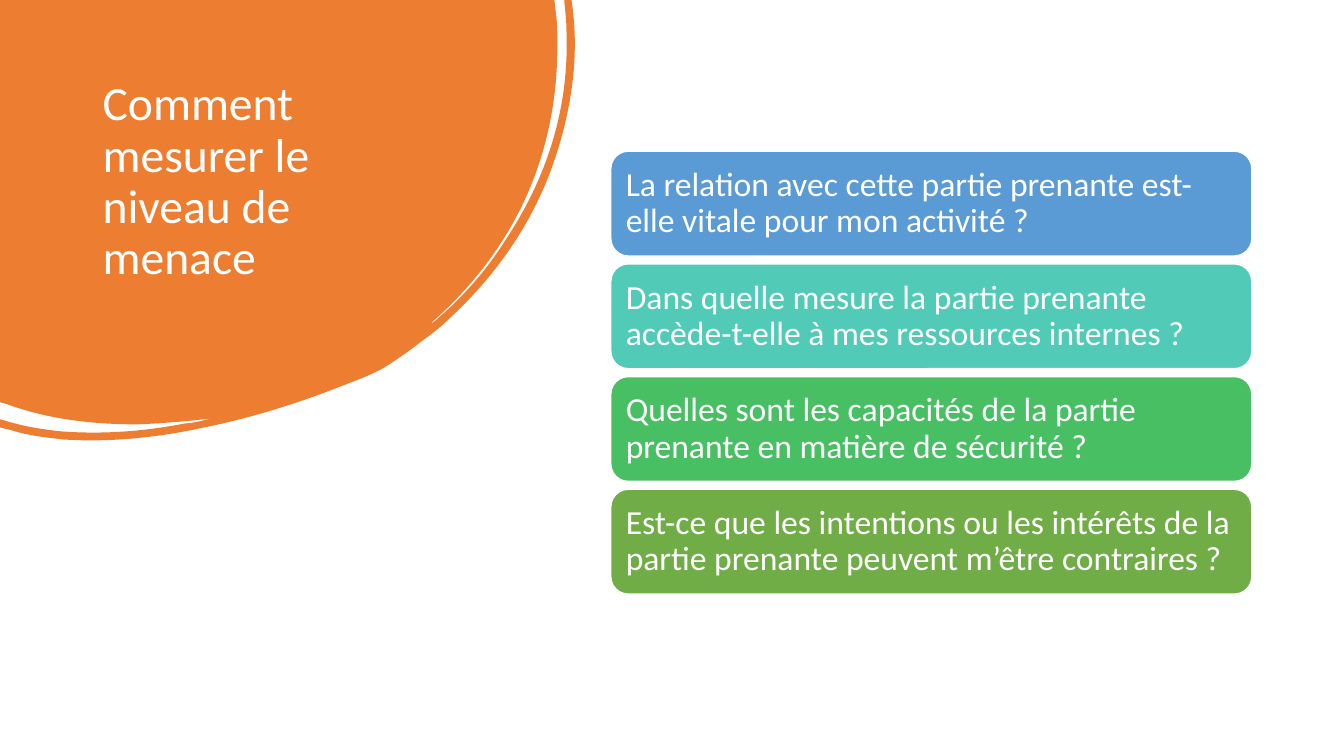
from lxml import etree
from pptx import Presentation
from pptx.dml.color import RGBColor
from pptx.enum.shapes import MSO_SHAPE
from pptx.enum.text import MSO_ANCHOR, PP_ALIGN
from pptx.oxml.ns import qn
from pptx.util import Pt

ROUNDED = MSO_SHAPE.ROUNDED_RECTANGLE
TOP, MIDDLE = MSO_ANCHOR.TOP, MSO_ANCHOR.MIDDLE
LEFT = PP_ALIGN.LEFT
WHITE, ORANGE = "FFFFFF", "ED7D31"
UNIT = 0.72

BLOB = [
    (0, 0), (550, 0), (552, 17),
    (553, 26, 553, 36, 553, 45), (553, 101, 542, 154, 518, 204),
    (496, 249, 465, 288, 427, 321), (429, 321, 430, 319, 432, 318),
    (459, 295, 482, 269, 501, 239), (543, 176, 565, 107, 562, 30),
    (562, 21, 561, 12, 560, 3), (560, 0), (567, 0), (568, 7),
    (574, 54, 568, 102, 553, 150), (533, 214, 497, 268, 448, 314),
    (439, 323, 429, 331, 419, 338), (409, 346, 399, 353, 387, 361),
    (375, 369, 360, 375, 344, 381), (299, 399, 252, 414, 203, 424),
    (157, 434, 110, 439, 63, 436), (45, 434, 28, 432, 12, 427),
    (0, 424), (0, 416), (4, 417),
    (23, 423, 42, 426, 61, 428), (103, 431, 143, 428, 184, 420),
    (189, 420, 193, 419, 198, 418), (202, 417, 206, 416, 210, 415),
    (186, 418, 161, 420, 136, 421), (92, 421, 48, 416, 7, 401),
    (0, 399),
]

QUESTIONS = [
    ("La relation avec cette partie prenante est-elle vitale pour mon activité ?", "5B9BD5"),
    ("Dans quelle mesure la partie prenante accède-t-elle à mes ressources internes ?", "52CAB8"),
    ("Quelles sont les capacités de la partie prenante en matière de sécurité ?", "49BF64"),
    ("Est-ce que les intentions ou les intérêts de la partie prenante peuvent m’être contraires ?", "70AD47"),
]


def rgb(color):
    return RGBColor.from_string(color)


def paint(sp, color):
    sp.shadow.inherit = False
    sp.fill.solid()
    sp.fill.fore_color.rgb = rgb(color)


def bend(sp, segments):
    lines = iter(list(sp._element.iter(qn("a:lnTo"))))
    for segment in segments:
        first, *others = [next(lines) for _ in range(len(segment) // 2)]
        if others:
            curve = etree.Element(qn("a:cubicBezTo"))
            first.addprevious(curve)
            for line in (first, *others):
                curve.append(line[0])
                line.getparent().remove(line)


def add_blob(slide, segments, color):
    points = [(Pt(x * UNIT), Pt(y * UNIT))
              for segment in segments
              for x, y in zip(segment[::2], segment[1::2])]
    builder = slide.shapes.build_freeform(*points[0])
    builder.add_line_segments(points[1:], close=True)
    sp = builder.convert_to_shape()
    bend(sp, segments[1:])
    paint(sp, color)
    sp.line.fill.background()


def write(sp, text, size, anchor, inset):
    tf = sp.text_frame
    frame_format = {
        "word_wrap": True, "vertical_anchor": anchor,
        "margin_left": Pt(7.2), "margin_right": Pt(7.2),
        "margin_top": Pt(inset), "margin_bottom": Pt(inset),
    }
    for name, value in frame_format.items():
        setattr(tf, name, value)
    p = tf.paragraphs[0]
    p.alignment = LEFT
    p.line_spacing = 0.9
    r = p.add_run()
    r.text = text
    for name, value in {"name": "Calibri", "size": Pt(size)}.items():
        setattr(r.font, name, value)
    r.font.color.rgb = rgb(WHITE)


def add_title(slide, text):
    sp = slide.shapes.add_textbox(Pt(66.24), Pt(53.28), Pt(253.44), Pt(159.84))
    write(sp, text, 34, TOP, 3.6)


def add_question(slide, top, text, color):
    sp = slide.shapes.add_shape(ROUNDED, Pt(436.3), Pt(top), Pt(457.9), Pt(74.9))
    paint(sp, color)
    sp.line.color.rgb = rgb(WHITE)
    sp.line.width = Pt(1)
    write(sp, text, 24, MIDDLE, 7.2)


def main():
    prs = Presentation()
    prs.slide_width, prs.slide_height = Pt(960), Pt(540)
    slide = prs.slides.add_slide(prs.slide_layouts[6])
    add_blob(slide, BLOB, ORANGE)
    add_title(slide, "Comment mesurer le niveau de menace")
    for i, (text, color) in enumerate(QUESTIONS):
        add_question(slide, 108 + i * 80.5, text, color)
    prs.save("out.pptx")


if __name__ == "__main__":
    main()
